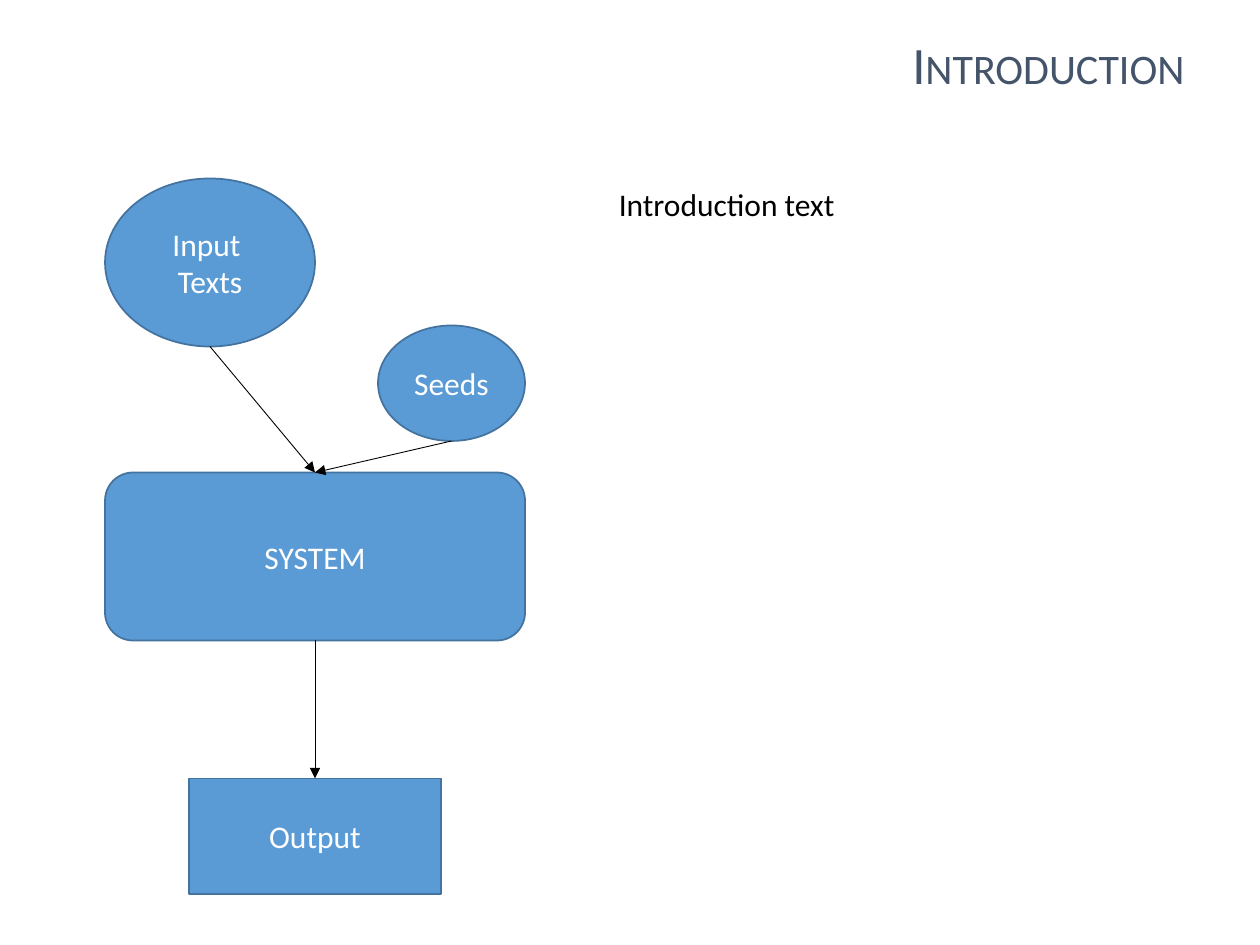
from dataclasses import dataclass

from lxml import etree
from pptx import Presentation
from pptx import util as u
from pptx.dml.color import RGBColor
from pptx.enum import shapes, text
from pptx.oxml.ns import qn

Pt = u.Pt
Kind = shapes.MSO_SHAPE
Side = text.PP_ALIGN
Hold = text.MSO_ANCHOR


@dataclass(frozen=True)
class Theme:
    font: str = "Calibri"
    title: str = "44546A"
    body: str = "000000"
    fill: str = "5B9BD5"
    edge: str = "43739E"
    label: str = "FFFFFF"
    arrow: str = "000000"
    big: int = 30
    norm: int = 18


LOOK = Theme()


def color(code):
    return RGBColor.from_string(code)


def write(frame, words, size, ink, side, hold):
    """Fill a text frame and format every run."""
    frame.text = words
    frame.word_wrap = True
    frame.vertical_anchor = hold
    for para in frame.paragraphs:
        para.alignment = side
        for run in para.runs:
            run.font.name = LOOK.font
            run.font.size = Pt(size)
            run.font.color.rgb = color(ink)


def add_text(slide, box, words, size, ink, side=Side.LEFT, hold=Hold.TOP):
    item = slide.shapes.add_textbox(*map(Pt, box))
    write(item.text_frame, words, size, ink, side, hold)
    return item


def add_node(slide, kind, box, words):
    node = slide.shapes.add_shape(kind, *map(Pt, box))
    node.shadow.inherit = False
    node.fill.solid()
    node.fill.fore_color.rgb = color(LOOK.fill)
    node.line.color.rgb = color(LOOK.edge)
    node.line.width = Pt(1)
    write(node.text_frame, words, LOOK.norm, LOOK.label, Side.CENTER, Hold.MIDDLE)
    return node


def add_arrow(slide, start, end):
    """Join the bottom centre of one node to the top centre of another."""
    line = slide.shapes.add_connector(
        shapes.MSO_CONNECTOR.STRAIGHT,
        start.left + start.width // 2, start.top + start.height,
        end.left + end.width // 2, end.top)
    line.line.color.rgb = color(LOOK.arrow)
    line.line.width = Pt(0.5)
    tip = etree.SubElement(line.line._get_or_add_ln(), qn("a:tailEnd"))
    tip.set("type", "triangle")
    etree.SubElement(line._element.spPr, qn("a:effectLst"))


def main():
    deck = Presentation()
    deck.slide_width, deck.slide_height = Pt(720), Pt(540)
    slide = deck.slides.add_slide(deck.slide_layouts[6])

    # Title in small capitals
    title = add_text(slide, (96, 12, 588, 45.6), "Introduction",
                     LOOK.big, LOOK.title, Side.RIGHT, Hold.BOTTOM)
    title.text_frame.paragraphs[0].runs[0].font._element.set("cap", "small")

    # Flow nodes
    core = add_node(slide, Kind.ROUNDED_RECTANGLE, (60, 270, 240, 96), "SYSTEM")
    texts = add_node(slide, Kind.OVAL, (60, 102, 120, 96), "Input \nTexts")
    seeds = add_node(slide, Kind.OVAL, (216, 186, 84, 66), "Seeds")
    out = add_node(slide, Kind.RECTANGLE, (108, 444.8, 144, 66), "Output")

    # Flow arrows
    for start, end in ((texts, core), (seeds, core), (core, out)):
        add_arrow(slide, start, end)

    # Side text
    add_text(slide, (346.5, 102, 361.5, 29), "Introduction text",
             LOOK.norm, LOOK.body)

    deck.save("out.pptx")


main()
